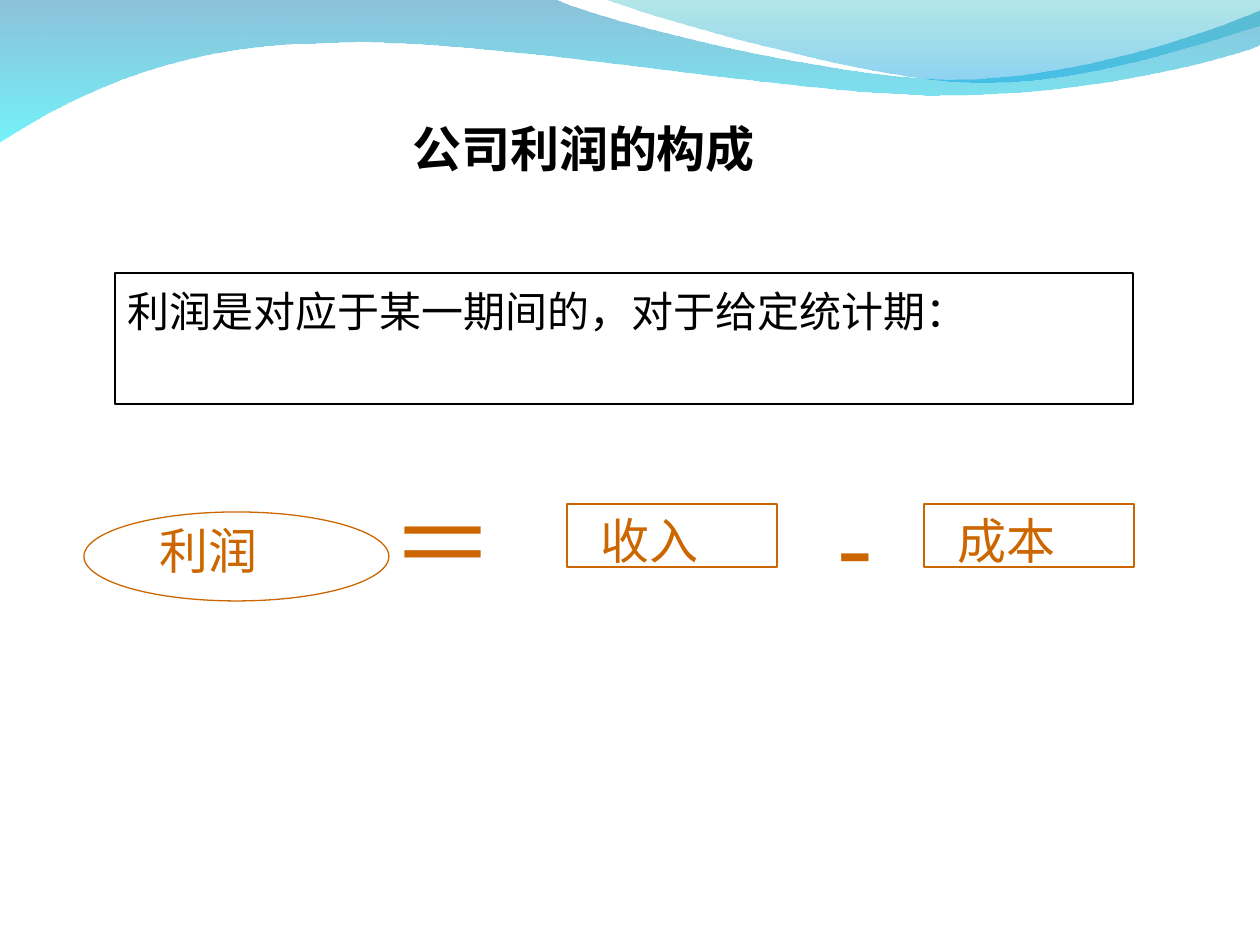
from dataclasses import dataclass
from typing import NamedTuple, Optional

from lxml import etree
from pptx import Presentation
from pptx import util as u
from pptx.dml.color import RGBColor
from pptx.enum import shapes, text
from pptx.oxml.ns import qn

PX = u.Inches(1) / 126  # EMU per px
CJK, LATIN = "Noto Sans CJK SC", "Times New Roman"
BLACK = RGBColor(0x00, 0x00, 0x00)
ORANGE = RGBColor(0xCC, 0x66, 0x00)
DEEP_BLUE = RGBColor(0x00, 0x79, 0xAF)
CYAN = RGBColor(0x00, 0xEB, 0xF8)
TEAL = RGBColor(0x00, 0xAD, 0xB6)
SKY = RGBColor(0x00, 0x9B, 0xE5)
RECT, OVAL = shapes.MSO_SHAPE.RECTANGLE, shapes.MSO_SHAPE.OVAL

Point = tuple[int, int]


def emu(*lengths: int) -> list[int]:
    return [round(v * PX) for v in lengths]


class Box(NamedTuple):
    x: int
    y: int
    w: int
    h: int


class Stop(NamedTuple):
    color: RGBColor
    opacity: int  # percent


@dataclass
class Wave:
    start: Point
    segments: list[tuple[Point, ...]]  # one point: line, three points: curve
    stops: tuple[Stop, Stop]


@dataclass
class Part:
    box: Box
    words: str = ""
    outline: Optional[shapes.MSO_SHAPE] = None  # None: plain text box
    size: int = 28
    font: str = LATIN
    color: RGBColor = ORANGE
    bold: bool = False
    inset_top: int = 6


def draw_wave(slide, wave: Wave) -> None:
    builder = slide.shapes.build_freeform(*emu(*wave.start))
    builder.add_line_segments([emu(*p) for seg in wave.segments for p in seg])
    sp = builder.convert_to_shape()
    # Join each curve's three points into one cubic segment
    lines = iter(list(sp._element.spPr.iter(qn("a:lnTo"))))
    for segment in wave.segments:
        group = [next(lines) for _ in segment]
        if len(group) == 3:
            curve = etree.Element(qn("a:cubicBezTo"))
            group[0].addprevious(curve)
            for line in group:
                curve.append(line[0])
                line.getparent().remove(line)
    sp.shadow.inherit = False
    sp.line.fill.background()
    sp.fill.gradient()
    sp.fill.gradient_angle = 270
    for position, (target, stop) in enumerate(zip(sp.fill.gradient_stops, wave.stops)):
        target.position = position
        target.color.rgb = stop.color
    for clr, stop in zip(sp._element.spPr.iter(qn("a:srgbClr")), wave.stops):
        etree.SubElement(clr, qn("a:alpha"), val=str(stop.opacity * 1000))


def write_words(tf, part: Part) -> None:
    tf.word_wrap = True
    tf.vertical_anchor = text.MSO_ANCHOR.TOP
    tf.margin_top = emu(part.inset_top)[0]
    tf.text = part.words
    p = tf.paragraphs[0]
    p.alignment = text.PP_ALIGN.LEFT
    r = p.runs[0]
    r.font.size = u.Pt(part.size)
    r.font.name = part.font
    r.font.bold = part.bold
    r.font.color.rgb = part.color
    east_asian = etree.Element(qn("a:ea"), typeface=CJK)
    r.font._element.find(qn("a:latin")).addnext(east_asian)


def draw_part(slide, part: Part) -> None:
    if part.outline is None:
        sp = slide.shapes.add_textbox(*emu(*part.box))
    else:
        sp = slide.shapes.add_shape(part.outline, *emu(*part.box))
        sp.shadow.inherit = False
        sp.fill.background()
        sp.line.color.rgb = part.color
        sp.line.width = u.Pt(0.75)
    if part.words:
        write_words(sp.text_frame, part)


WAVES = [
    Wave((0, -1), [((554, -1),),
                   ((600, 21), (837, 79), (955, 79)),
                   ((1075, 79), (1207, 33), (1260, 11)),
                   ((1261, 45),),
                   ((1239, 55), (1096, 96), (940, 95)),
                   ((784, 95), (481, 35), (324, 43)),
                   ((163, 44), (58, 105), (-1, 142))],
         (Stop(DEEP_BLUE, 45), Stop(CYAN, 55))),
    Wave((604, -1), [((641, 14), (859, 78), (969, 82)),
                     ((1079, 87), (1211, 40), (1260, 26)),
                     ((1260, 0),)],
         (Stop(TEAL, 30), Stop(SKY, 45))),
]

PARTS = [
    # Title and statement
    Part(Box(400, 112, 447, 105), "公司利润的构成", font=CJK, color=BLACK, bold=True),
    Part(Box(115, 273, 1018, 131), "利润是对应于某一期间的，对于给定统计期：",
         RECT, 24, CJK, BLACK, inset_top=13),
    # Profit = income - cost
    Part(Box(84, 512, 305, 89), outline=OVAL),
    Part(Box(147, 514, 179, 72), "利润"),
    Part(Box(378, 472, 189, 139), "＝", size=60),
    Part(Box(567, 504, 210, 63), outline=RECT),
    Part(Box(825, 472, 91, 139), "-", size=60),
    Part(Box(945, 504, 158, 72), "成本"),
    Part(Box(924, 504, 210, 63), outline=RECT),
    Part(Box(588, 504, 158, 72), "收入"),
]


def main() -> None:
    prs = Presentation()
    prs.slide_width, prs.slide_height = u.Inches(10), u.Inches(7.5)
    slide = prs.slides.add_slide(prs.slide_layouts[6])
    for wave in WAVES:
        draw_wave(slide, wave)
    for part in PARTS:
        draw_part(slide, part)
    prs.save("out.pptx")


if __name__ == "__main__":
    main()
